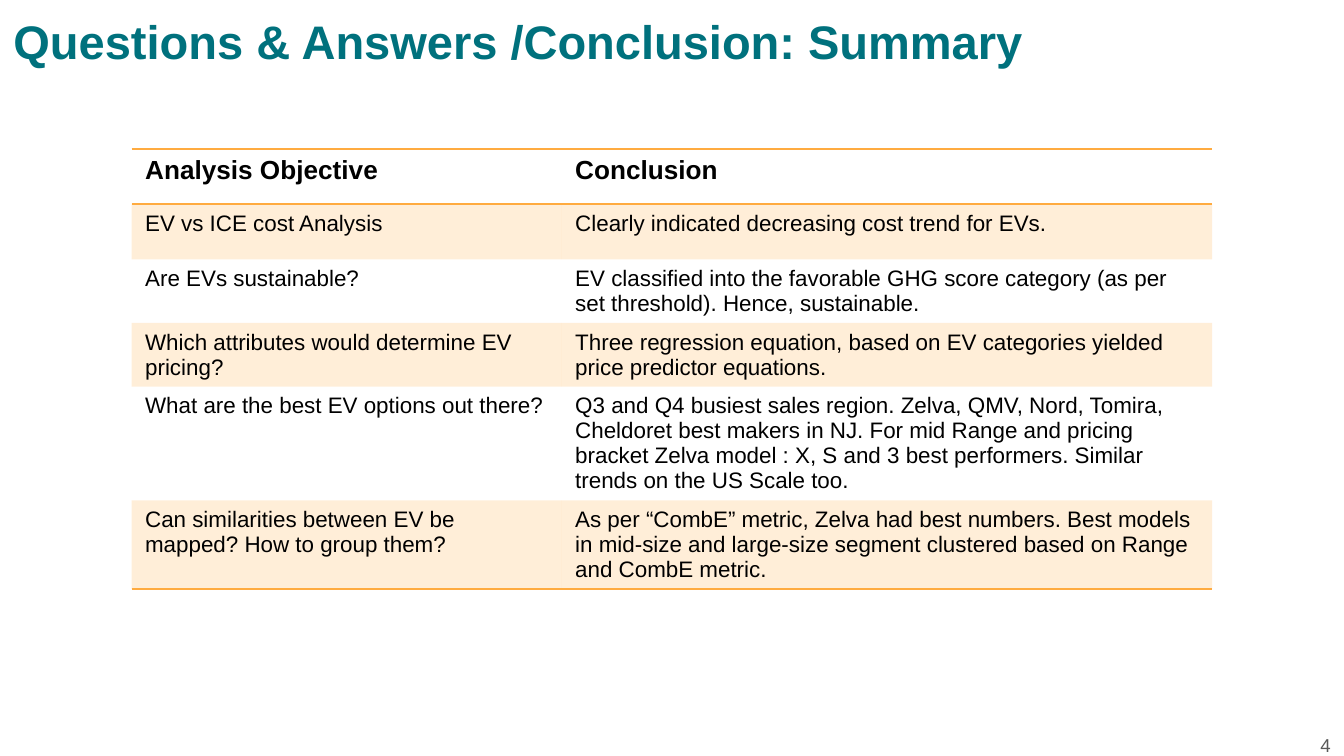
from lxml import etree
from pptx import Presentation
from pptx.dml.color import RGBColor
from pptx.enum.text import MSO_ANCHOR, MSO_AUTO_SIZE, PP_ALIGN
from pptx.oxml.ns import qn
from pptx.util import Inches, Pt

TOP, MIDDLE = MSO_ANCHOR.TOP, MSO_ANCHOR.MIDDLE
LEFT, RIGHT = PP_ALIGN.LEFT, PP_ALIGN.RIGHT
NO_FIT = MSO_AUTO_SIZE.NONE

TEAL = RGBColor(0x00, 0x71, 0x7D)
AMBER = RGBColor(0xFF, 0xAB, 0x40)
BLACK = RGBColor(0x00, 0x00, 0x00)
GRAY = RGBColor(0x59, 0x59, 0x59)

FONT = "Arial"
WIDTH = 10
HEIGHT = WIDTH * 9 / 16
TINT = 20  # opacity of the row bands, in percent
COLS = (3.2, 4.84)
ROW_HEIGHT = 0.41
ROWS = [
    ("Analysis Objective", "Conclusion"),
    ("EV vs ICE cost Analysis",
     "Clearly indicated decreasing cost trend for EVs."),
    ("Are EVs sustainable?",
     "EV classified into the favorable GHG score category (as per set "
     "threshold). Hence, sustainable."),
    ("Which attributes would determine EV pricing?",
     "Three regression equation, based on EV categories yielded price "
     "predictor equations."),
    ("What are the best EV options out there?",
     "Q3 and Q4 busiest sales region. Zelva, QMV, Nord, Tomira, Cheldoret "
     "best makers in NJ. For mid Range and pricing bracket Zelva model : "
     "X, S and 3 best performers. Similar trends on the US Scale too."),
    ("Can similarities between EV be mapped? How to group them?",
     "As per “CombE” metric, Zelva had best numbers. Best models in mid-size "
     "and large-size segment clustered based on Range and CombE metric."),
]


def style(frame, size, color, bold=False, align=LEFT):
    """Format every run of a text frame."""
    for par in frame.paragraphs:
        par.alignment = align
        for run in par.runs:
            font = run.font
            font.name, font.size, font.bold = FONT, Pt(size), bold
            font.color.rgb = color


def place(shape, left, top, width, height, anchor):
    """Set the box and the inner margins of a text shape."""
    shape.left, shape.top = Inches(left), Inches(top)
    shape.width, shape.height = Inches(width), Inches(height)
    frame = shape.text_frame
    frame.word_wrap = True
    frame.auto_size = NO_FIT
    frame.vertical_anchor = anchor
    frame.margin_left = frame.margin_right = Inches(0.1)
    frame.margin_top = frame.margin_bottom = Inches(0.1)


def add_title(slide, text):
    title = slide.shapes.title
    place(title, 0, -0.01, 9.32, 0.63, TOP)
    title.text_frame.text = text
    style(title.text_frame, 25.2, TEAL, bold=True)


def add_number(slide, text):
    box = slide.shapes.add_textbox(0, 0, 0, 0)
    place(box, 9.4, 5.33, 0.6, 0.43, MIDDLE)
    box.text_frame.text = text
    style(box.text_frame, 10, GRAY, align=RIGHT)


def fill_cell(cell, band):
    """Tint a band cell and clear any other."""
    if not band:
        cell.fill.background()
        return
    cell.fill.solid()
    cell.fill.fore_color.rgb = AMBER
    color = cell._tc.tcPr.find(".//" + qn("a:srgbClr"))
    etree.SubElement(color, qn("a:alpha"), val=str(TINT * 1000))


def rule_cell(cell, sides):
    """Draw the given sides of a cell and hide the others."""
    props = cell._tc.tcPr
    for pos, side in enumerate("LRTB"):
        line = etree.Element(qn("a:ln" + side), w=str(Pt(1)))
        if side in sides:
            fill = etree.SubElement(line, qn("a:solidFill"))
            etree.SubElement(fill, qn("a:srgbClr"), val=str(AMBER))
        else:
            etree.SubElement(line, qn("a:noFill"))
        props.insert(pos, line)


def add_grid(slide):
    count = len(ROWS)
    table = slide.shapes.add_table(
        count, len(COLS), Inches(0.98), Inches(1.11),
        Inches(sum(COLS)), Inches(ROW_HEIGHT * count)).table
    table.first_row = table.horz_banding = False
    for col, width in zip(table.columns, COLS):
        col.width = Inches(width)
    for i, texts in enumerate(ROWS):
        table.rows[i].height = Inches(ROW_HEIGHT)
        head = i == 0
        # Rules frame the header and close the table
        sides = ("T" if i < 2 else "") + ("B" if i in (0, count - 1) else "")
        for j, text in enumerate(texts):
            cell = table.cell(i, j)
            cell.text_frame.text = text
            style(cell.text_frame, 14 if head else 12, BLACK, bold=head)
            fill_cell(cell, band=i % 2 == 1)
            rule_cell(cell, sides)


def main():
    deck = Presentation()
    deck.slide_width, deck.slide_height = Inches(WIDTH), Inches(HEIGHT)
    slide = deck.slides.add_slide(deck.slide_layouts[5])
    add_title(slide, "Questions & Answers /Conclusion: Summary")
    add_grid(slide)
    add_number(slide, "4")
    deck.save("out.pptx")


if __name__ == "__main__":
    main()
